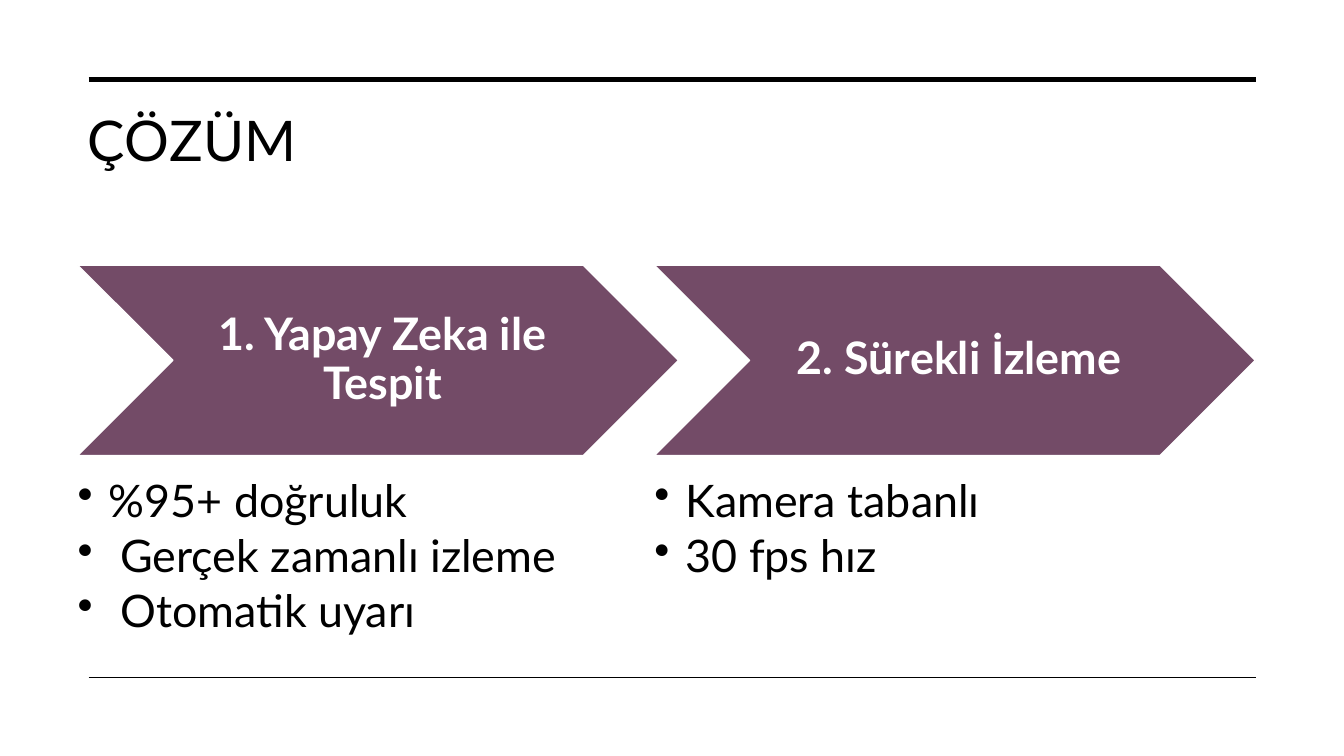
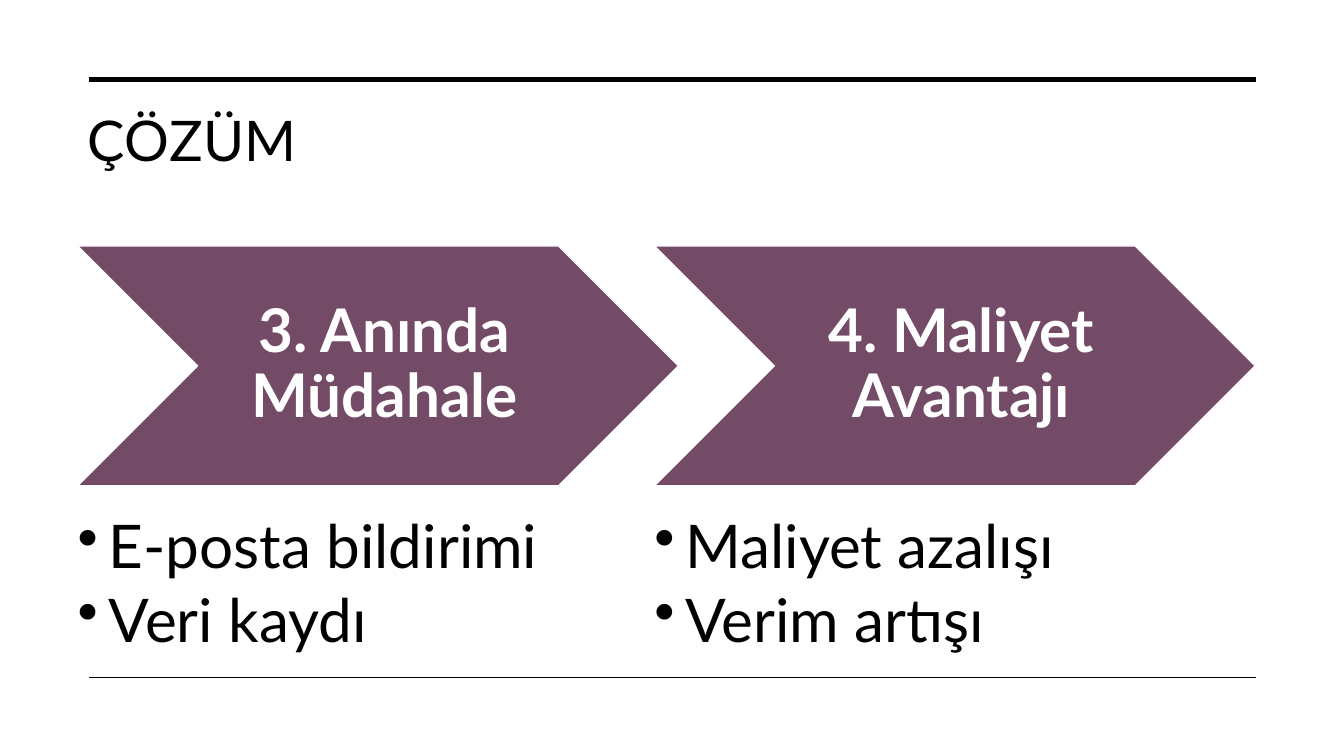
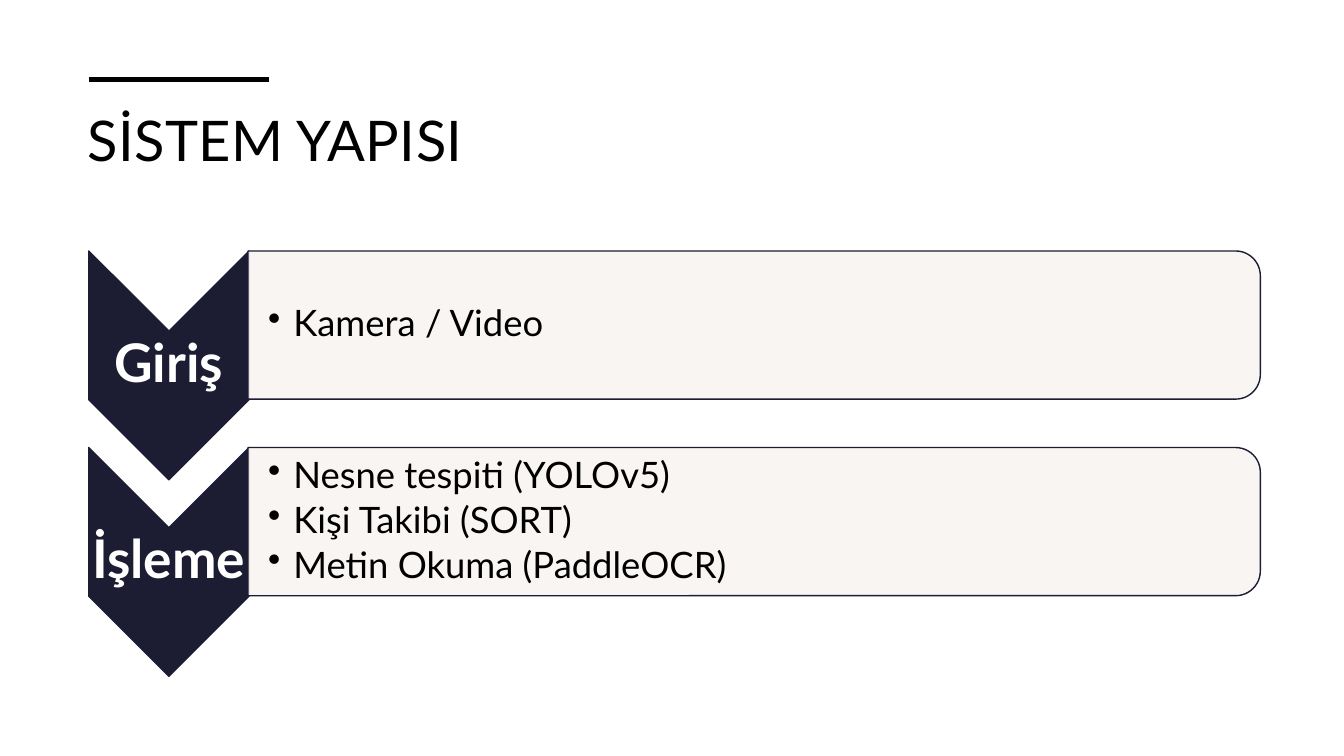
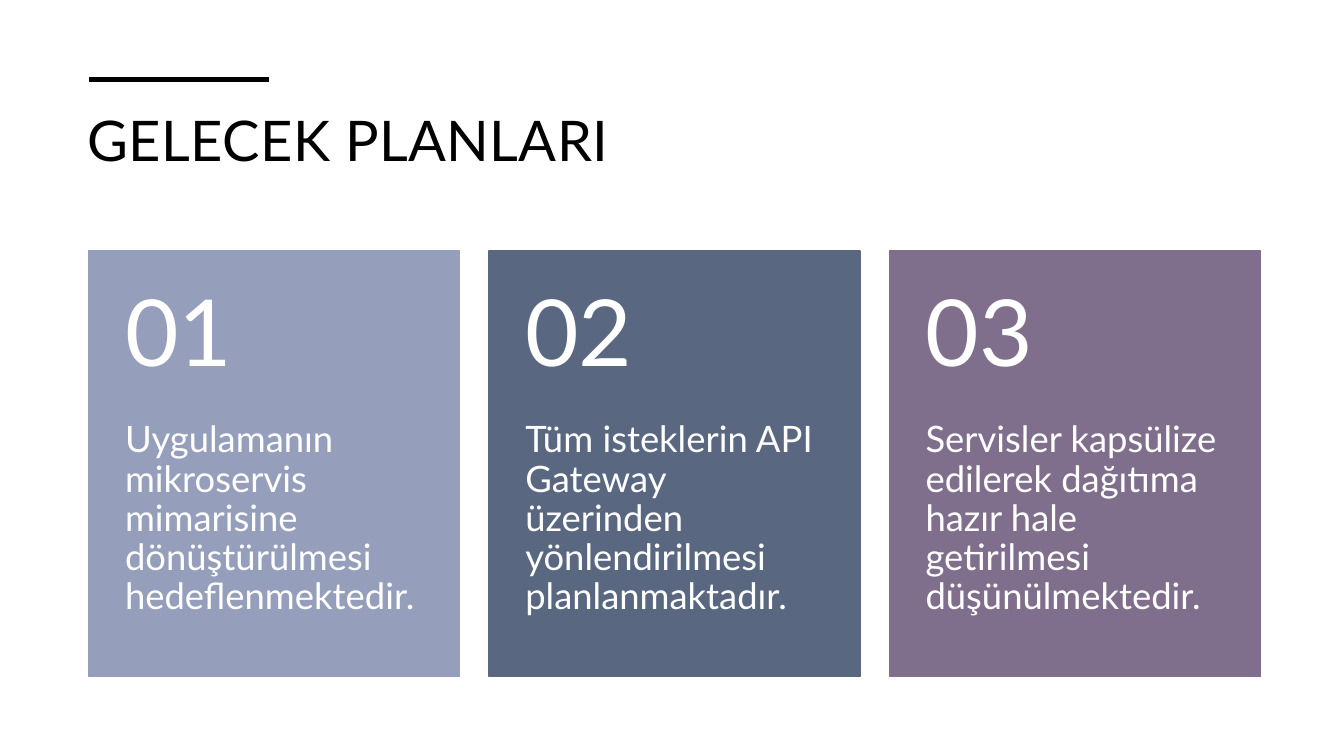
from dataclasses import dataclass
from typing import Any

from lxml.etree import SubElement
from pptx import Presentation
from pptx.dml.color import RGBColor
from pptx.enum.shapes import MSO_CONNECTOR, MSO_SHAPE as Kind
from pptx.enum.text import MSO_ANCHOR as Anchor, MSO_AUTO_SIZE as Fit, PP_ALIGN as Align
from pptx.oxml.ns import qn
from pptx.util import Inches, Pt

BLACK = RGBColor(0x00, 0x00, 0x00)
WHITE = RGBColor(0xFF, 0xFF, 0xFF)
PLUM = RGBColor(0x73, 0x4B, 0x67)
NAVY = RGBColor(0x1C, 0x1C, 0x32)
CREAM = RGBColor(0xF8, 0xF4, 0xF1)
MIST = RGBColor(0x95, 0x9E, 0xBB)
SLATE = RGBColor(0x59, 0x67, 0x81)
MAUVE = RGBColor(0x7F, 0x6E, 0x8C)

FONT = "Lato"
LEFT, RIGHT, SHORT = 0.88, 12.46, 2.67
TOP, BASE = 0.79, 6.72


@dataclass(frozen=True)
class Box:
    x: float
    y: float
    w: float
    h: float

    def emu(self) -> tuple:
        return tuple(Inches(v) for v in (self.x, self.y, self.w, self.h))

    def turned(self) -> "Box":
        """Frame that covers this box once rotated by a quarter turn."""
        shift = (self.w - self.h) / 2
        return Box(self.x + shift, self.y - shift, self.h, self.w)


@dataclass(frozen=True)
class Look:
    size: int
    color: RGBColor = WHITE
    bold: bool = False
    align: Align = Align.LEFT
    after: float = 0.35
    indent: float = 0
    anchor: Anchor = Anchor.TOP
    pad: tuple = (0, 0, 0, 0)


@dataclass(frozen=True)
class Step:
    label: str
    points: tuple


@dataclass(frozen=True)
class Flow:
    """Sizes of one slide with two arrows and their lists."""
    size: int
    top: float
    high: float
    pad: tuple
    list_top: float
    list_high: float
    steps: tuple


@dataclass(frozen=True)
class Card:
    num: str
    text: str
    color: RGBColor


FLOWS = (
    Flow(32, 2.63, 1.89, (0.14, 0.05, 0.05, 0.05), 4.75, 1.57, (
        Step("1. Yapay Zeka ile Tespit",
             ("%95+ doğruluk", " Gerçek zamanlı izleme", " Otomatik uyarı")),
        Step("2. Sürekli İzleme", ("Kamera tabanlı", "30 fps hız")),
    )),
    Flow(43, 2.44, 2.38, (0.19, 0.06, 0.06, 0.06), 5.12, 1.39, (
        Step("3. Anında Müdahale", ("E-posta bildirimi", "Veri kaydı")),
        Step("4. Maliyet Avantajı", ("Maliyet azalışı", "Verim artışı")),
    )),
)
STAGES = (
    Step("Giriş", ("Kamera / Video",)),
    Step("İşleme", ("Nesne tespiti (YOLOv5)", "Kişi Takibi (SORT)",
                    "Metin Okuma (PaddleOCR)")),
)
CARDS = (
    Card("01", "Uygulamanın mikroservis mimarisine dönüştürülmesi "
               "hedeflenmektedir.", MIST),
    Card("02", "Tüm isteklerin API Gateway üzerinden yönlendirilmesi "
               "planlanmaktadır.", SLATE),
    Card("03", "Servisler kapsülize edilerek dağıtıma hazır hale getirilmesi "
               "düşünülmektedir.", MAUVE),
)


def apply(item: Any, **values: Any) -> None:
    for name, value in values.items():
        setattr(item, name, value)


def write(shape: Any, lines: tuple, look: Look) -> None:
    frame = shape.text_frame
    sides = ("margin_left", "margin_top", "margin_right", "margin_bottom")
    apply(frame, word_wrap=True, vertical_anchor=look.anchor,
          **{side: Inches(v) for side, v in zip(sides, look.pad)})
    for i, line in enumerate(lines):
        para = frame.add_paragraph() if i else frame.paragraphs[0]
        apply(para, alignment=look.align, line_spacing=0.9,
              space_after=Pt(look.size * look.after))
        run = para.add_run()
        run.text = line
        apply(run.font, name=FONT, size=Pt(look.size), bold=look.bold)
        run.font.color.rgb = look.color
        if look.indent:
            props = para._p.get_or_add_pPr()
            props.set("marL", str(Inches(look.indent)))
            props.set("indent", str(-Inches(look.indent)))
            SubElement(props, qn("a:buChar")).set("char", "•")


def add_text(slide: Any, box: Box, lines: tuple, look: Look) -> None:
    write(slide.shapes.add_textbox(*box.emu()), lines, look)


def add_shape(slide: Any, kind: Kind, box: Box, fill: RGBColor,
              edge: RGBColor, turn: bool = False) -> Any:
    frame = box.turned() if turn else box
    shape = slide.shapes.add_shape(kind, *frame.emu())
    shape.rotation = 90 if turn else 0
    shape.shadow.inherit = False
    shape.fill.solid()
    shape.fill.fore_color.rgb = fill
    shape.line.color.rgb = edge
    shape.line.width = Pt(1)
    return shape


def add_rule(slide: Any, y: float, end: float, width: float) -> None:
    rule = slide.shapes.add_connector(
        MSO_CONNECTOR.STRAIGHT, Inches(LEFT), Inches(y), Inches(end), Inches(y))
    rule.line.color.rgb = BLACK
    rule.line.width = Pt(width)
    SubElement(rule._element.spPr, qn("a:effectLst"))


def new_slide(deck: Any, title: str, end: float) -> Any:
    """Title-only slide whose top rule runs to the given end."""
    slide = deck.slides.add_slide(deck.slide_layouts[5])
    head = slide.shapes.title
    spot = Box(0.77, 1, 11.7, 1.2).emu()
    apply(head, **dict(zip(("left", "top", "width", "height"), spot)))
    apply(head.text_frame, text=title, vertical_anchor=Anchor.TOP,
          auto_size=Fit.NONE, word_wrap=True)
    para = head.text_frame.paragraphs[0]
    para.alignment = Align.LEFT
    run = para.runs[0]
    apply(run.font, name=FONT, size=Pt(40))
    run.font.color.rgb = BLACK
    run._r.get_or_add_rPr().set("spc", "30")
    add_rule(slide, TOP, end, 3.5)
    return slide


def draw_flow(deck: Any, flow: Flow) -> None:
    slide = new_slide(deck, "ÇÖZÜM", RIGHT)
    add_rule(slide, BASE, RIGHT, 1)
    label = Look(flow.size, bold=True, align=Align.CENTER,
                 anchor=Anchor.MIDDLE, pad=flow.pad)
    points = Look(flow.size, BLACK, after=0.15, indent=0.31)
    for i, step in enumerate(flow.steps):
        x = 0.77 + i * 5.72
        arrow = add_shape(slide, Kind.CHEVRON,
                          Box(x, flow.top, 5.96, flow.high), PLUM, WHITE)
        write(arrow, (step.label,), label)
        add_text(slide, Box(x, flow.list_top, 4.77, flow.list_high),
                 step.points, points)


def draw_stages(deck: Any) -> None:
    slide = new_slide(deck, "SİSTEM YAPISI", SHORT)
    label = Look(38, bold=True, align=Align.CENTER, anchor=Anchor.MIDDLE,
                 pad=(0.03,) * 4)
    points = Look(26, BLACK, after=0.15, indent=0.25, anchor=Anchor.MIDDLE,
                  pad=(0.2, 0.02, 0.02, 0.02))
    wide, edge = 1.59, 2.46
    for i, stage in enumerate(STAGES):
        y = 2.49 + i * 1.95
        add_shape(slide, Kind.CHEVRON, Box(LEFT, y, wide, 2.27),
                  NAVY, NAVY, turn=True)
        add_text(slide, Box(LEFT, y + 0.79, wide, 0.68), (stage.label,), label)
        bar = add_shape(slide, Kind.ROUND_2_SAME_RECTANGLE,
                        Box(edge, y, 10.04, 1.47), CREAM, NAVY, turn=True)
        tint = bar._element.spPr.find(qn("a:solidFill"))[0]
        SubElement(tint, qn("a:alpha")).set("val", "90000")
        add_text(slide, Box(edge, y + 0.07, 9.97, 1.33), stage.points, points)


def draw_cards(deck: Any) -> None:
    slide = new_slide(deck, "GELECEK PLANLARI", SHORT)
    num = Look(66, anchor=Anchor.MIDDLE, pad=(0.36, 0.18, 0.36, 0.18))
    body = Look(26, pad=(0.36, 0, 0.36, 0.36))
    y, wide, head, rest = 2.49, 3.68, 1.69, 2.53
    for i, card in enumerate(CARDS):
        x = LEFT + i * 3.97
        add_shape(slide, Kind.RECTANGLE, Box(x, y, wide, head + rest),
                  card.color, card.color)
        add_text(slide, Box(x, y + head, wide, rest), (card.text,), body)
        add_text(slide, Box(x, y, wide, head), (card.num,), num)


def main() -> None:
    deck = Presentation()
    apply(deck, slide_width=Inches(13.33), slide_height=Inches(7.5))
    for flow in FLOWS:
        draw_flow(deck, flow)
    draw_stages(deck)
    draw_cards(deck)
    deck.save("out.pptx")


if __name__ == "__main__":
    main()
